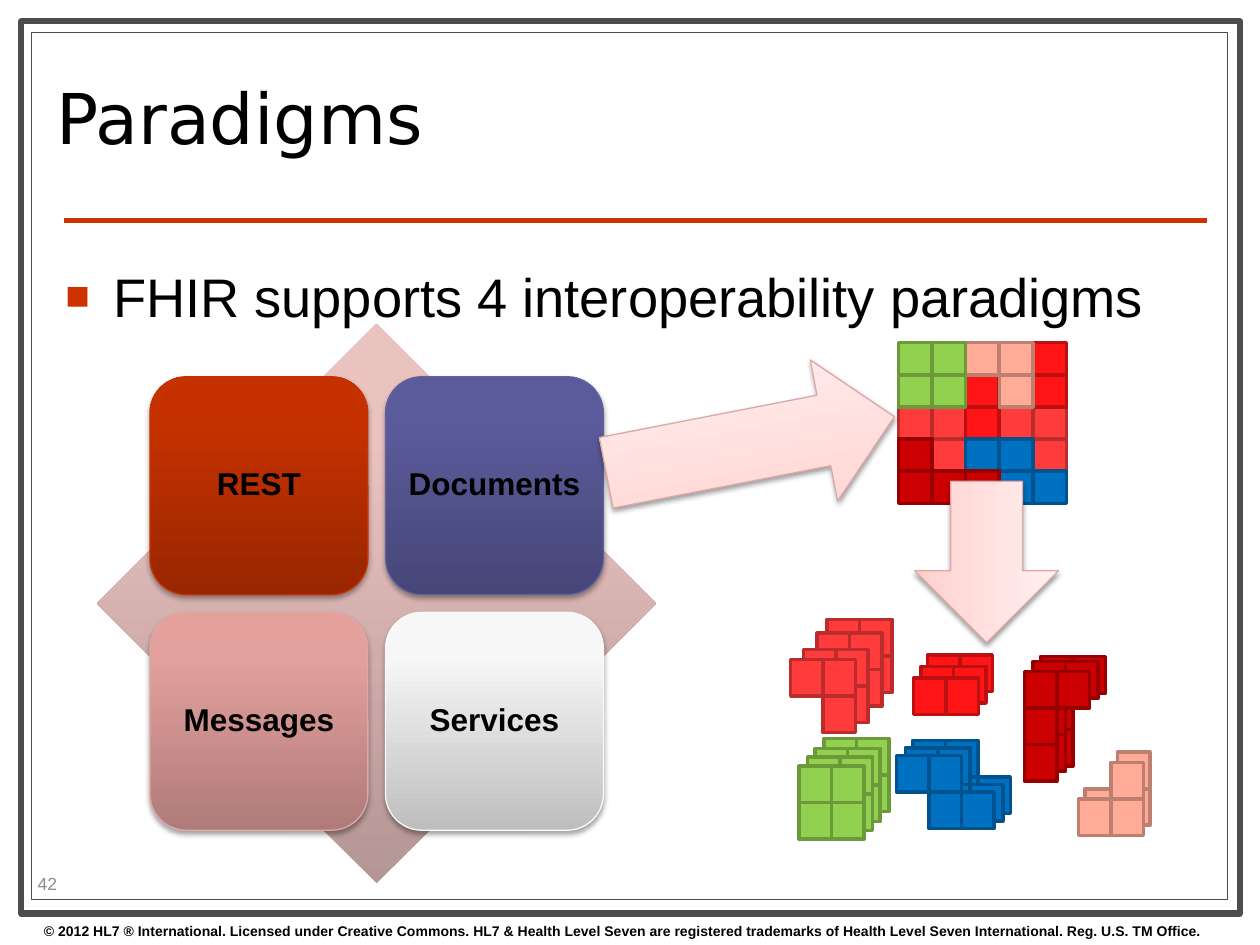
from dataclasses import dataclass
from typing import Optional

from lxml.etree import SubElement
from pptx import Presentation
from pptx.dml.color import RGBColor
from pptx.enum.shapes import MSO_CONNECTOR, MSO_SHAPE
from pptx.enum.text import MSO_ANCHOR, PP_ALIGN
from pptx.oxml import parse_xml
from pptx.oxml.ns import nsdecls, qn
from pptx.util import Emu, Inches, Pt

# The slide is a grid of 100 columns by 75 rows
COLUMNS, ROWS = 100, 75
SLIDE_WIDTH, SLIDE_HEIGHT = Inches(10), Inches(7.5)


@dataclass(frozen=True)
class Box:
    column: float
    row: float
    columns: float
    rows: float

    def place(self) -> tuple[Emu, Emu, Emu, Emu]:
        return (across(self.column), down(self.row),
                across(self.columns), down(self.rows))


@dataclass(frozen=True)
class Gradient:
    stops: tuple[tuple[int, str], ...]
    outline: Optional[str] = None
    shadow_alpha: int = 0
    shadow_distance: float = 1.8


@dataclass(frozen=True)
class Paradigm:
    label: str
    column: int
    row: int
    look: Gradient


@dataclass(frozen=True)
class Piece:
    """A block of cells, stacked at several places from back to front."""
    colour: str
    pattern: tuple[str, ...]
    corners: tuple[tuple[float, float], ...]


# Fill and outline of each kind of cell, in drawing order
CELL_COLOURS = {
    "C": ("FF3B3B", "BD2C2C"),
    "R": ("FF1515", "BD1010"),
    "P": ("FFAB97", "BD7F70"),
    "G": ("92D050", "6C9A3B"),
    "B": ("0070C0", "00538E"),
    "D": ("CC0000", "970000"),
}
DOCUMENT = ("GGPPR", "GGRPR", "CCRCC", "DCBBC", "DDDBB")
PIECES = (
    Piece("R", ("XX",), ((73.6, 52), (73.1, 52.9), (72.5, 53.8))),
    Piece("P", (".X", "XX"), ((86.1, 59.7), (85.6, 60.5))),
    Piece("B", ("XX.", ".XX"), ((72.45, 58.75), (71.85, 59.35), (71.15, 59.95))),
    Piece("D", ("XX", "X.", "X."), ((82.6, 52.1), (82, 52.5), (81.3, 53.3))),
    Piece("C", ("XX", ".X"),
          ((65.65, 49.15), (64.85, 50.25), (63.75, 51.55), (62.75, 52.35))),
    Piece("G", ("XX", "XX"),
          ((65.4, 58.6), (64.7, 59.4), (64.1, 60.1), (63.4, 60.8))),
)

DIAMOND = Gradient(((0, "B49695"), (80, "EAC3C1"), (100, "ECC3C1")))
ARROW = Gradient(((0, "FFCECC"), (35, "FFDCDA"), (100, "FFF1F1")),
                 "DEA8A5", 38, 1.6)
PARADIGMS = (
    Paradigm("REST", 0, 0, Gradient(
        ((0, "982600"), (80, "C63100"), (100, "C73200")), "C83200", 35)),
    Paradigm("Documents", 1, 0, Gradient(
        ((0, "464678"), (80, "5B5B9C"), (100, "5B5B9E")), "636397", 35)),
    Paradigm("Messages", 0, 1, Gradient(
        ((0, "AF7B79"), (80, "E3A09D"), (100, "E6A09C")), "DEA8A5", 35)),
    Paradigm("Services", 1, 1, Gradient(
        ((0, "BEBEBE"), (80, "F7F7F7"), (100, "F8F8F8")), "F9F9F9", 35)),
)


def across(columns: float) -> Emu:
    return Emu(round(SLIDE_WIDTH * columns / COLUMNS))


def down(rows: float) -> Emu:
    return Emu(round(SLIDE_HEIGHT * rows / ROWS))


def colour(value: str) -> RGBColor:
    return RGBColor.from_string(value)


def set_font(paragraph, size: float, value: str = "000000",
             name: str = "Arial", bold: bool = False) -> None:
    font = paragraph.font
    font.size, font.name, font.bold = Pt(size), name, bold
    font.color.rgb = colour(value)


def add_rectangle(shapes, box: Box, fill: str, outline: str, width: float) -> None:
    shape = shapes.add_shape(MSO_SHAPE.RECTANGLE, *box.place())
    shape.shadow.inherit = False
    shape.fill.solid()
    shape.fill.fore_color.rgb = colour(fill)
    shape.line.color.rgb = colour(outline)
    shape.line.width = Pt(width)


def add_gradient_shape(shapes, kind: MSO_SHAPE, box: Box, look: Gradient,
                       rotation: float = 0):
    shape = shapes.add_shape(kind, *box.place())
    shape.rotation = rotation
    if look.outline:
        shape.line.color.rgb = colour(look.outline)
        shape.line.width = Pt(0.75)
    else:
        shape.line.fill.background()
    shape.shadow.inherit = False
    # Gradient running from the bottom to the top
    stops = "".join(f'<a:gs pos="{position * 1000}"><a:srgbClr val="{value}"/></a:gs>'
                    for position, value in look.stops)
    properties = shape._element.spPr
    properties.find(qn("a:prstGeom")).addnext(parse_xml(
        f'<a:gradFill {nsdecls("a")} rotWithShape="1"><a:gsLst>{stops}</a:gsLst>'
        '<a:lin ang="16200000" scaled="0"/></a:gradFill>'))
    if look.shadow_alpha:
        properties.find(qn("a:effectLst")).append(parse_xml(
            f'<a:outerShdw {nsdecls("a")} blurRad="{Pt(3.1)}" '
            f'dist="{Pt(look.shadow_distance)}" dir="5400000" rotWithShape="0">'
            f'<a:srgbClr val="000000"><a:alpha val="{look.shadow_alpha * 1000}"/>'
            '</a:srgbClr></a:outerShdw>'))
    return shape


def add_text(shapes, box: Box, text: str, anchor: MSO_ANCHOR = MSO_ANCHOR.TOP):
    frame = shapes.add_textbox(*box.place()).text_frame
    frame.word_wrap = True
    frame.vertical_anchor = anchor
    paragraph = frame.paragraphs[0]
    paragraph.text = text
    return paragraph


def add_bullet(paragraph, indent: float) -> None:
    properties = paragraph._p.get_or_add_pPr()
    properties.set("marL", str(across(indent)))
    properties.set("indent", str(-across(indent)))
    SubElement(SubElement(properties, qn("a:buClr")), qn("a:srgbClr"), val="CC3300")
    SubElement(properties, qn("a:buSzPct"), val="75000")
    SubElement(properties, qn("a:buFont"), typeface="Arial")
    SubElement(properties, qn("a:buChar"), char="■")


def add_paradigm(shapes, paradigm: Paradigm) -> None:
    size, pitch = 17.3, 18.7
    box = Box(11.9 + paradigm.column * pitch, 29.9 + paradigm.row * pitch, size, size)
    frame = add_gradient_shape(shapes, MSO_SHAPE.ROUNDED_RECTANGLE, box,
                               paradigm.look).text_frame
    frame.word_wrap = True
    frame.vertical_anchor = MSO_ANCHOR.MIDDLE
    frame.margin_left = frame.margin_right = across(0.7)
    frame.margin_top = frame.margin_bottom = down(0.7)
    paragraph = frame.paragraphs[0]
    paragraph.text = paradigm.label
    paragraph.alignment = PP_ALIGN.CENTER
    paragraph.line_spacing = 0.9
    set_font(paragraph, 18, bold=True)


def add_cells(shapes, pattern: tuple[str, ...], mark: str, kind: str,
              corner: tuple[float, float], width: float, height: float) -> None:
    for row, marks in enumerate(pattern):
        for column, found in enumerate(marks):
            if found == mark:
                box = Box(corner[0] + column * width, corner[1] + row * height,
                          width, height)
                add_rectangle(shapes, box, *CELL_COLOURS[kind], 2)


def main() -> None:
    presentation = Presentation()
    presentation.slide_width, presentation.slide_height = SLIDE_WIDTH, SLIDE_HEIGHT
    shapes = presentation.slides.add_slide(presentation.slide_layouts[6]).shapes

    # Double frame and title rule
    add_rectangle(shapes, Box(1.7, 1.7, 96.7, 70.8), "FFFFFF", "4D4D4D", 3.5)
    add_rectangle(shapes, Box(2.5, 2.6, 94.9, 68.8), "FFFFFF", "4D4D4D", 0.75)
    rule = shapes.add_connector(MSO_CONNECTOR.STRAIGHT, across(5.1), down(17.5),
                                across(95.8), down(17.5))
    rule.line.color.rgb = colour("CC3300")
    rule.line.width = Pt(3)
    SubElement(rule._element.spPr, qn("a:effectLst"))

    # Copyright line, title, body and slide number
    set_font(add_text(shapes, Box(2.5, 72.7, 97, 2.3),
                      "© 2012 HL7 ® International. Licensed under Creative Commons. "
                      "HL7 & Health Level Seven are registered trademarks of Health "
                      "Level Seven International. Reg. U.S. TM Office."), 8, bold=True)
    title = add_text(shapes, Box(3.5, 3.6, 71.7, 12.6), "Paradigms", MSO_ANCHOR.MIDDLE)
    title.line_spacing = 0.8
    set_font(title, 40, name="DejaVu Sans")
    body = add_text(shapes, Box(4.2, 20.4, 91.7, 48.6),
                    "FHIR supports 4 interoperability paradigms")
    add_bullet(body, 3.8)
    set_font(body, 31)
    set_font(add_text(shapes, Box(2, 68.9, 7.9, 2.4), "42", MSO_ANCHOR.MIDDLE),
             10, "8C8C8C")

    # Four paradigms on a diamond
    matrix = shapes.add_group_shape().shapes
    add_gradient_shape(matrix, MSO_SHAPE.DIAMOND, Box(7.7, 25.7, 44.4, 44.4), DIAMOND)
    for paradigm in PARADIGMS:
        add_paradigm(matrix, paradigm)

    # Document assembled from coloured cells
    document = shapes.add_group_shape().shapes
    for kind in CELL_COLOURS:
        add_cells(document, DOCUMENT, kind, kind, (71.3, 27.2), 2.67, 2.55)

    # Stacks of separate pieces
    stacks = shapes.add_group_shape().shapes
    for piece in PIECES:
        for corner in piece.corners:
            add_cells(stacks, piece.pattern, "X", piece.colour, corner, 2.58, 2.9)

    # Arrows from the paradigm to the document and on to the pieces
    add_gradient_shape(shapes, MSO_SHAPE.RIGHT_ARROW, Box(47.9, 29.6, 23.3, 11.4),
                       ARROW, 349)
    add_gradient_shape(shapes, MSO_SHAPE.RIGHT_ARROW, Box(71.9, 38.9, 12.8, 11.4),
                       ARROW, 90)

    presentation.save("out.pptx")


if __name__ == "__main__":
    main()
